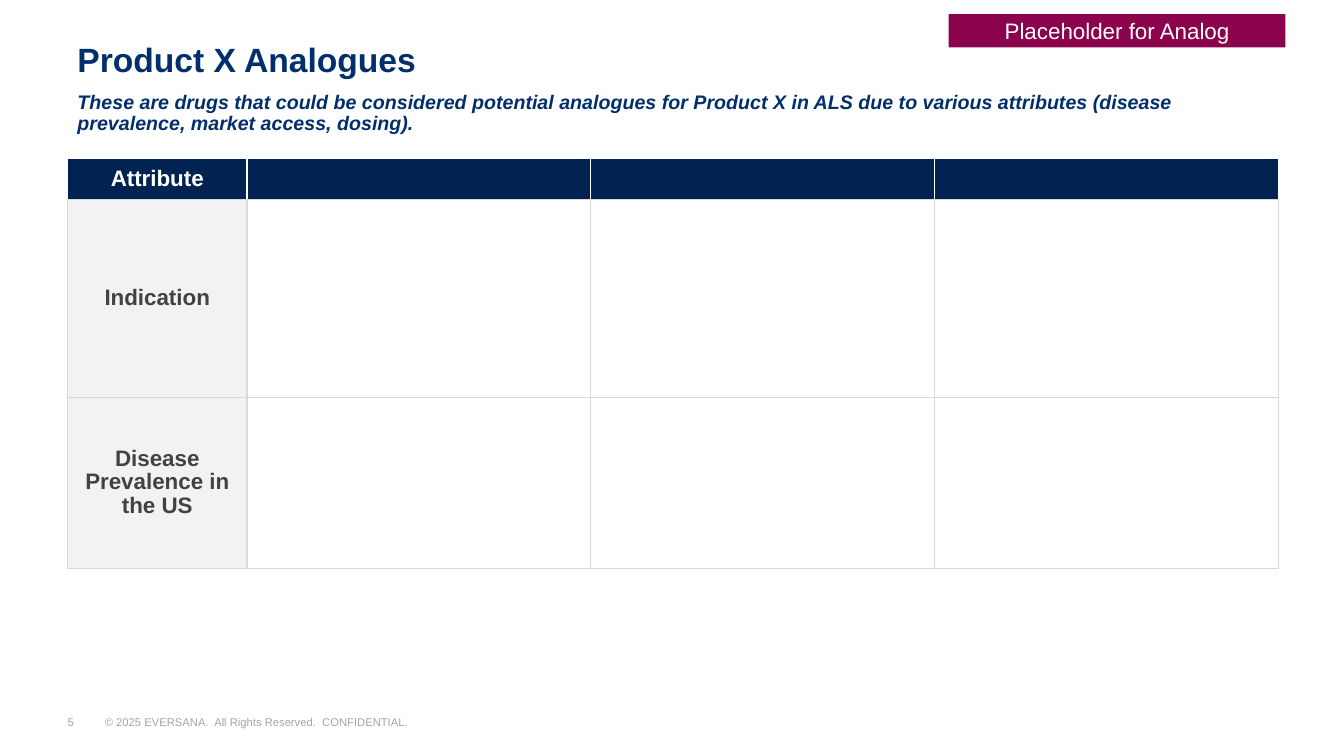
from dataclasses import dataclass

from lxml import etree
from pptx import Presentation
from pptx.dml.color import RGBColor
from pptx.enum.shapes import MSO_SHAPE
from pptx.enum.text import MSO_ANCHOR, PP_ALIGN
from pptx.oxml.ns import qn
from pptx.util import Inches, Pt

RECTANGLE = MSO_SHAPE.RECTANGLE
TOP, MIDDLE = MSO_ANCHOR.TOP, MSO_ANCHOR.MIDDLE
LEFT, CENTER = PP_ALIGN.LEFT, PP_ALIGN.CENTER


@dataclass(frozen=True)
class Theme:
    font: str = "Arial"
    title_blue: str = "002F6C"
    header_navy: str = "002352"
    label_fill: str = "F2F2F2"
    label_text: str = "3F4344"
    grid: str = "D9D9D9"
    badge: str = "8B024D"
    footer: str = "A2A5A8"
    white: str = "FFFFFF"
    title_size: int = 24
    label_size: int = 16
    subtitle_size: int = 14
    footer_size: int = 8


class SlideBuilder:
    def __init__(self, page, theme):
        self.page = page
        self.theme = theme

    def set_text(self, frame, text, size, color, align=LEFT, spacing=None,
                 bold=False, italic=False):
        para = frame.paragraphs[0]
        para.text = text
        para.alignment = align
        if spacing:
            para.line_spacing = spacing
        font = para.font
        font.name, font.size = self.theme.font, Pt(size)
        font.bold, font.italic = bold, italic
        font.color.rgb = RGBColor.from_string(color)

    def text_box(self, place, text, size, color, insets=(0.1, 0.05, 0.1, 0.05),
                 anchor=TOP, **style):
        """Add a text box; insets run left, top, right, bottom in inches."""
        frame = self.page.shapes.add_textbox(*map(Inches, place)).text_frame
        frame.word_wrap = True
        frame.vertical_anchor = anchor
        (frame.margin_left, frame.margin_top,
         frame.margin_right, frame.margin_bottom) = map(Inches, insets)
        self.set_text(frame, text, size, color, **style)

    def badge(self, place, text):
        theme = self.theme
        shape = self.page.shapes.add_shape(RECTANGLE, *map(Inches, place))
        shape.shadow.inherit = False
        shape.fill.solid()
        shape.fill.fore_color.rgb = RGBColor.from_string(theme.badge)
        shape.line.fill.background()
        shape.text_frame.vertical_anchor = MIDDLE
        self.set_text(shape.text_frame, text, theme.label_size, theme.white, CENTER)

    def borders(self, cell, side_color, top_color, bottom_color):
        properties = cell._tc.get_or_add_tcPr()
        colors = {"lnL": side_color, "lnR": side_color,
                  "lnT": top_color, "lnB": bottom_color}
        for edge, color in colors.items():
            line = etree.SubElement(properties, qn(f"a:{edge}"), w=str(Pt(1)))
            fill = etree.SubElement(line, qn("a:solidFill"))
            etree.SubElement(fill, qn("a:srgbClr"), val=color)

    def attribute_table(self, place, widths, heights, labels):
        """Add a grid with a dark header row and labels in its first column."""
        theme = self.theme
        table = self.page.shapes.add_table(
            len(heights), len(widths), *map(Inches, place)).table
        for column, width in zip(table.columns, widths):
            column.width = Inches(width)
        for row_index, (row, height) in enumerate(zip(table.rows, heights)):
            row.height = Inches(height)
            header = row_index == 0
            edge = theme.white if header else theme.grid
            for column_index, cell in enumerate(row.cells):
                label = column_index == 0
                self.borders(cell, edge, edge, theme.grid)
                if header:
                    fill = theme.header_navy
                else:
                    fill = theme.label_fill if label else theme.white
                cell.fill.solid()
                cell.fill.fore_color.rgb = RGBColor.from_string(fill)
                if label:
                    cell.vertical_anchor = MIDDLE
                    color = theme.white if header else theme.label_text
                    self.set_text(cell.text_frame, labels[row_index],
                                  theme.label_size, color, CENTER, 0.95, bold=True)


def main():
    deck = Presentation()
    deck.slide_width, deck.slide_height = Inches(13.33), Inches(7.5)
    theme = Theme()
    slide = SlideBuilder(deck.slides.add_slide(deck.slide_layouts[6]), theme)

    footers = [
        (0.67, 0.54, "5"),
        (1.04, 4.46, "© 2025 EVERSANA.  All Rights Reserved.  CONFIDENTIAL."),
    ]
    for left, width, text in footers:
        slide.text_box((left, 6.99, width, 0.34), text, theme.footer_size,
                       theme.footer, (0, 0.07, 0.13, 0.07), MIDDLE)

    slide.text_box((0.67, 0.39, 12, 0.44), "Product X Analogues",
                   theme.title_size, theme.title_blue, (0.1, 0, 0, 0), bold=True)
    slide.text_box((0.67, 0.87, 12, 0.38),
                   "These are drugs that could be considered potential analogues for "
                   "Product X in ALS due to various attributes (disease prevalence, "
                   "market access, dosing).",
                   theme.subtitle_size, theme.title_blue,
                   spacing=0.9, bold=True, italic=True)
    slide.attribute_table((0.67, 1.57, 12, 4.07), [1.78] + [3.41] * 3,
                          [0.41, 1.96, 1.7],
                          ["Attribute", "Indication", "Disease Prevalence in the US"])
    slide.badge((9.41, 0.14, 3.34, 0.33), "Placeholder for Analog")
    deck.save("out.pptx")


if __name__ == "__main__":
    main()
